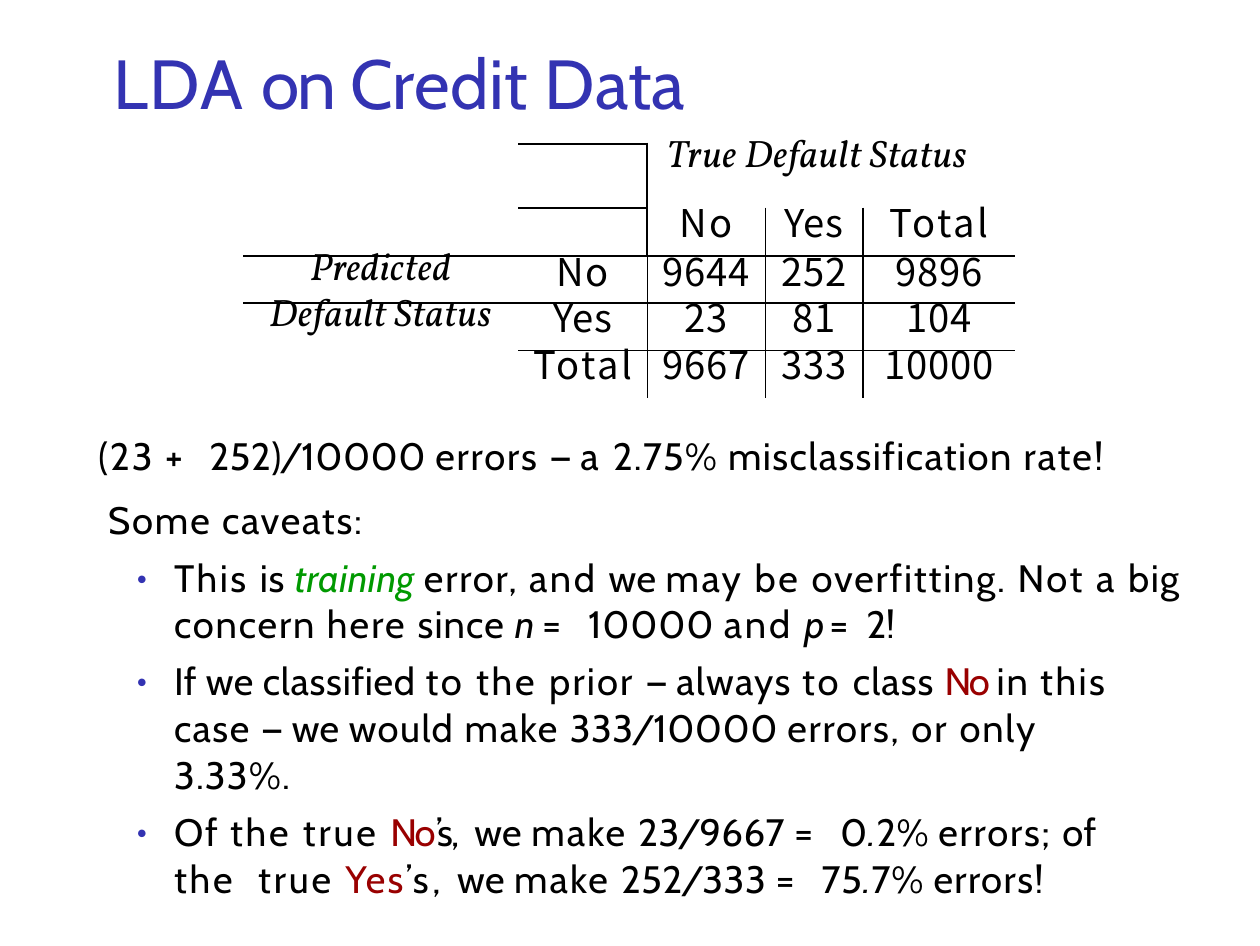
from lxml.etree import SubElement
from pptx import Presentation
from pptx.dml.color import RGBColor
from pptx.enum.text import PP_ALIGN as Align
from pptx.oxml.ns import qn
from pptx.util import Cm, Pt

COLORS = {"title": "3333B2", "text": "000000", "term": "009900", "class": "990000"}
SANS, SERIF, DIGITS = "Cabin", "Vollkorn", "Noto Sans CJK TC"
BODY_SIZE = 11
NO_GRID_STYLE = "{2D5ABB26-0587-4C30-8999-92F81FD0307C}"

COLUMN_WIDTHS = [2.8, 1.31, 1.2, 0.99, 1.55]
ROW_HEIGHTS = [0.65, 0.49, 0.48, 0.48, 0.48]
ROW_LINE_SPACING = [11.7, 11.7, 11.9, 11.7, 11.5]
CONFUSION = [
    ["", "", "True Default Status", "", ""],
    ["", "", "No", "Yes", "Total"],
    ["Predicted", "No", "9644", "252", "9896"],
    ["Default Status", "Yes", "23", "81", "104"],
    ["", "Total", "9667", "333", "10000"],
]
WORD_SPACING = {"No": 0.5, "Yes": 0.1, "Total": 0.7}

# Each run: text, letter spacing in points, then an optional style.
TITLE = [("LDA ", 0.4), ("on ", -0.6), ("Credit Data", 0.1)]
ERROR_RATE = [
    ("(23 ", 0.5), ("+ ", 2.6), ("252)", 0.1), ("/", 0.1, "italic"), ("10000 ", 0.1),
    ("errors ", 0.5), ("— ", -0.1), ("a ", 0.8), ("2.75% ", 0.3),
    ("misclassification ", 0.4), ("rate!", 0.6),
]
CAVEATS_HEADING = [("Some caveats:", 0.5)]
CAVEATS = [
    [("This ", 0.7), ("is ", 0.2), ("training ", 0.1, "term"), ("error, ", 0.5),
     ("and ", 0.7), ("we ", 0.1), ("may be ", 0.7), ("overfitting. ", 0.5),
     ("Not a ", 0.7), ("big ", 0.4), ("concern ", 0.5), ("here ", 0.6),
     ("since ", 0.3), ("n ", -0.3, "italic"), ("= ", 2.6), ("10000 ", 0.2),
     ("and ", 0.8), ("p ", -1.1, "italic"), ("= ", 1.3), ("2!", -0.1)],
    [("If we ", 0.1), ("classified ", 0.2), ("to the ", 0.8), ("prior ", 0.6),
     ("— ", -0.1), ("always ", 0.4), ("to ", 0.8), ("class ", 0.3),
     ("No ", -0.6, "class"), ("in ", 0.5), ("this ", 0.7), ("case ", 0.4),
     ("— ", -0.1), ("we ", 0.1), ("would ", 0.4), ("make ", 0.5), ("333", 0.1),
     ("/", 0.1, "italic"), ("10000 ", 0.1), ("errors, ", 0.5), ("or ", 0.6),
     ("only ", 0.5), ("3.33%.", 0.3)],
    [("Of ", 0.5), ("the true ", 0.8), ("No", -0.6, "class"), ("’s,", -0.6),
     (" ", 1.8), ("we ", 0.1), ("make ", 0.6), ("23", 0.1), ("/", 0.1, "italic"),
     ("9667 ", 0.1), ("= ", 2.6), ("0", 0.1), (".", 0.1, "italic"), ("2% ", 0.1),
     ("errors; ", 0.5), ("of ", 0.1), ("the", 0.8), (" ", 4), ("true ", 0.8),
     ("Yes", 0.6, "class"), ("’s, ", 1.1), ("we ", 0.1), ("make ", 0.6),
     ("252", 0.1), ("/", 0.1, "italic"), ("333 ", 0.1), ("= ", 2.6), ("75", 0.2),
     (".", 0.2, "italic"), ("7% ", 0.2), ("errors!", 0.4)],
]
CAVEAT_RIGHT_MARGINS = [0, 0.76, 0.76]


def add_run(paragraph, text, spacing, style="text", size=BODY_SIZE, font=SANS):
    run = paragraph.add_run()
    run.text = text
    run.font.size = Pt(size)
    run.font.name = font
    run.font.italic = style in ("italic", "term")
    run.font.color.rgb = RGBColor.from_string(COLORS.get(style, COLORS["text"]))
    run._r.get_or_add_rPr().set("spc", str(round(spacing * 100)))


def add_text_frame(slide, left, top, width, height, inset_top):
    """Add a wrapping text box whose only inset is at the top."""
    box = slide.shapes.add_textbox(Cm(left), Cm(top), Cm(width), Cm(height))
    frame = box.text_frame
    frame.word_wrap = True
    frame.margin_left = frame.margin_right = frame.margin_bottom = 0
    frame.margin_top = Cm(inset_top)
    return frame


def indent(paragraph, left, first=0, right=0):
    properties = paragraph._p.get_or_add_pPr()
    for name, value in (("marL", left), ("indent", first), ("marR", right)):
        properties.set(name, str(Cm(value)))
    return properties


def add_bullet(properties):
    color = SubElement(properties, qn("a:buClr"))
    SubElement(color, qn("a:srgbClr"), val=COLORS["title"])
    SubElement(properties, qn("a:buSzPct"), val="91000")
    SubElement(properties, qn("a:buFont"), typeface=SANS)
    SubElement(properties, qn("a:buChar"), char="•")


def add_title(slide, left, top, width, height):
    paragraph = add_text_frame(slide, left, top, width, height, 0.05).paragraphs[0]
    paragraph.space_before = Pt(1.4)
    indent(paragraph, 0.03)
    for text, spacing in TITLE:
        add_run(paragraph, text, spacing, "title", 20)


def horizontal_width(boundary, column):
    """Width in points of the rule above row `boundary`, 0 for none."""
    if boundary < 2:
        return 0.75 if column == 1 else 0
    first_column = {2: 0, 3: 0, 4: 1}.get(boundary, len(COLUMN_WIDTHS))
    return 0.5 if column >= first_column else 0


def vertical_width(boundary, row):
    """Width in points of the rule left of column `boundary`, 0 for none."""
    if boundary == 2:
        return 0.75 if row < 2 else 0.5
    return 0.5 if boundary in (3, 4) and row > 0 else 0


def draw_borders(cell, row, column):
    properties = cell._tc.get_or_add_tcPr()
    widths = {
        "a:lnL": vertical_width(column, row),
        "a:lnR": vertical_width(column + 1, row),
        "a:lnT": horizontal_width(row, column),
        "a:lnB": horizontal_width(row + 1, column),
    }
    for tag, width in widths.items():
        if width:
            line = SubElement(properties, qn(tag), w=str(Pt(width)))
            fill = SubElement(line, qn("a:solidFill"))
            SubElement(fill, qn("a:srgbClr"), val=COLORS["text"])
        elif row > 1:
            SubElement(SubElement(properties, qn(tag)), qn("a:noFill"))


def fill_cell(cell, text, row, column):
    cell.margin_left = cell.margin_right = cell.margin_top = cell.margin_bottom = 0
    draw_borders(cell, row, column)
    cell.fill.background()
    paragraph = cell.text_frame.paragraphs[0]
    paragraph.line_spacing = Pt(ROW_LINE_SPACING[row])
    if not text:
        SubElement(paragraph._p, qn("a:endParaRPr"), sz=str(BODY_SIZE * 100))
        return
    is_label = row == 0 or column == 0
    if row == 0:
        indent(paragraph, 0.2)
    else:
        paragraph.alignment = Align.CENTER
    add_run(paragraph, text, WORD_SPACING.get(text, 0.2),
            "italic" if is_label else "text", font=SERIF if is_label else DIGITS)


def add_confusion_table(slide, left, top):
    frame = slide.shapes.add_table(
        len(ROW_HEIGHTS), len(COLUMN_WIDTHS), Cm(left), Cm(top),
        Cm(sum(COLUMN_WIDTHS)), Cm(sum(ROW_HEIGHTS)))
    table = frame.table
    table.first_row = table.horz_banding = False
    table._tbl.tblPr.find(qn("a:tableStyleId")).text = NO_GRID_STYLE
    for column, width in zip(table.columns, COLUMN_WIDTHS):
        column.width = Cm(width)
    for row, height in zip(table.rows, ROW_HEIGHTS):
        row.height = Cm(height)
    for row, texts in enumerate(CONFUSION):
        for column, text in enumerate(texts):
            fill_cell(table.cell(row, column), text, row, column)
    table.cell(0, 0).merge(table.cell(1, 0))
    table.cell(0, 2).merge(table.cell(0, 4))


def add_body(slide, left, top, width, height):
    frame = add_text_frame(slide, left, top, width, height, 0.03)
    rate, heading = frame.paragraphs[0], frame.add_paragraph()
    rate.space_before = Pt(1)
    for paragraph, runs, margin in ((rate, ERROR_RATE, 0.03),
                                    (heading, CAVEATS_HEADING, 0.13)):
        paragraph.line_spacing = 1.4
        indent(paragraph, margin)
        for run in runs:
            add_run(paragraph, *run)
    for runs, right in zip(CAVEATS, CAVEAT_RIGHT_MARGINS):
        paragraph = frame.add_paragraph()
        paragraph.line_spacing = 1.02
        paragraph.space_before = Pt(3)
        add_bullet(indent(paragraph, 0.8, -0.38, right))
        for run in runs:
            add_run(paragraph, *run)


def main():
    presentation = Presentation()
    presentation.slide_width, presentation.slide_height = Pt(363), Pt(272.5)
    slide = presentation.slides.add_slide(presentation.slide_layouts[6])
    add_title(slide, 1.12, 0.36, 9.09, 0.91)
    add_confusion_table(slide, 2.47, 1.46)
    add_body(slide, 0.97, 4.18, 11.35, 5.08)
    presentation.save("out.pptx")


if __name__ == "__main__":
    main()
